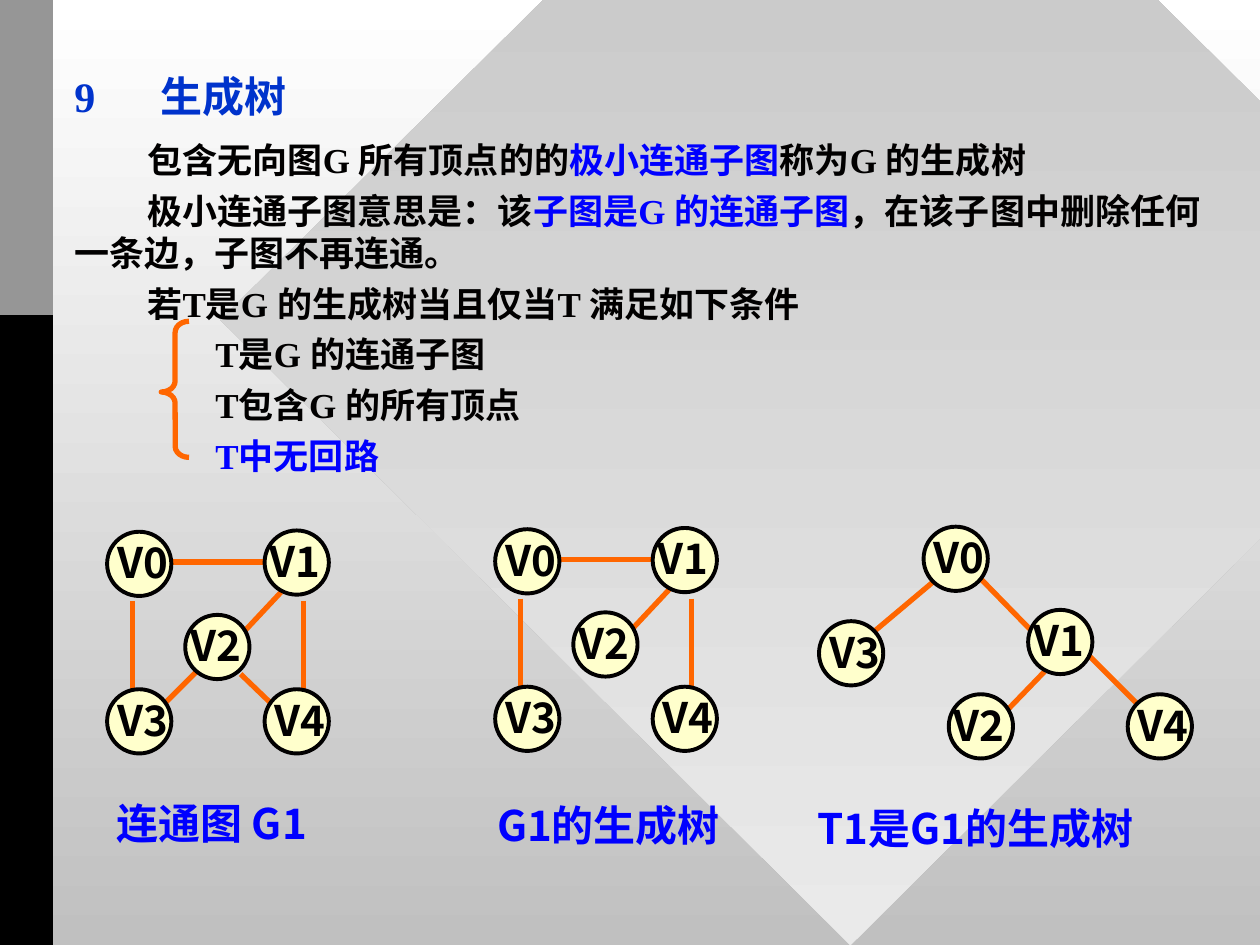
from lxml import etree
from pptx import Presentation
from pptx.dml.color import RGBColor
from pptx.enum.dml import MSO_FILL
from pptx.enum.shapes import MSO_CONNECTOR, MSO_SHAPE
from pptx.enum.text import MSO_ANCHOR, MSO_AUTO_SIZE, PP_ALIGN
from pptx.oxml.ns import qn
from pptx.util import Inches, Pt

STRAIGHT = MSO_CONNECTOR.STRAIGHT
DIAMOND, RECTANGLE = MSO_SHAPE.DIAMOND, MSO_SHAPE.RECTANGLE
OVAL, LEFT_BRACE = MSO_SHAPE.OVAL, MSO_SHAPE.LEFT_BRACE
LEFT, CENTER = PP_ALIGN.LEFT, PP_ALIGN.CENTER
TOP, FIXED = MSO_ANCHOR.TOP, MSO_AUTO_SIZE.NONE
GRADIENT = MSO_FILL.GRADIENT

WHITE = RGBColor(0xFF, 0xFF, 0xFF)
SILVER = RGBColor(0xC0, 0xC0, 0xC0)
PALE_GRAY = RGBColor(0xEA, 0xEA, 0xEA)
GRAY = RGBColor(0x96, 0x96, 0x96)
BLACK = RGBColor(0, 0, 0)
INK = RGBColor(1, 0, 0)
TITLE_BLUE = RGBColor(0, 0x33, 0xCC)
BLUE = RGBColor(0, 0, 0xFF)
ORANGE = RGBColor(0xFF, 0x66, 0)
CREAM = RGBColor(0xFF, 0xFF, 0xCC)

SERIF, SANS = "Times New Roman", "Noto Sans CJK SC"

DEFINITION = [
    (0.58, [("包含无向图G 所有顶点的的", INK), ("极小连通子图", BLUE),
            ("称为G 的生成树", INK)]),
    (0.58, [("极小连通子图意思是：该", INK), ("子图是G 的连通子图", BLUE),
            ("，在该子图中删除任何一条边，子图不再连通。", INK)]),
    (0.58, [("若T是G 的生成树当且仅当T 满足如下条件", INK)]),
    (1.12, [("T是G 的连通子图", INK)]),
    (1.12, [("T包含G 的所有顶点", INK)]),
    (1.12, [("T中无回路", BLUE)]),
]

SQUARE_NODES = {"V0": (0, 0.01), "V4": (1.25, 1.26), "V3": (0, 1.26),
                "V1": (1.25, 0), "V2": (0.62, 0.67)}
SPANNING_EDGES = [(0.2, 0.56, 0.2, 1.28), (0.5, 0.25, 1.32, 0.25),
                  (1.56, 0.56, 1.56, 1.28), (1.38, 0.49, 1.09, 0.8)]
CYCLE_EDGES = [(0.73, 1.1, 0.43, 1.4), (1.06, 1.14, 1.32, 1.39)]
TREE_NODES = {"V0": (0.83, 0), "V4": (2.45, 1.33), "V3": (0, 0.75),
              "V1": (1.66, 0.66), "V2": (1.03, 1.33)}
TREE_EDGES = [(0.94, 0.41, 0.44, 0.83), (2.11, 0.99, 2.53, 1.41),
              (1.79, 1.15, 1.5, 1.45), (1.28, 0.41, 1.69, 0.83)]

GRAPHS = [
    ((0.85, 4.21), SQUARE_NODES, SPANNING_EDGES + CYCLE_EDGES),
    ((3.93, 4.19), SQUARE_NODES, SPANNING_EDGES),
    ((6.5, 4.18), TREE_NODES, TREE_EDGES),
]
CAPTIONS = [
    ((0.45, 6.28, 2.46, 0.5), "连通图 G1"),
    ((3.6, 6.3, 2.46, 0.5), "G1的生成树"),
    ((6.28, 6.32, 2.92, 0.5), "T1是G1的生成树"),
]


def inches(box):
    return [Inches(length) for length in box]


def apply(target, values):
    for name, value in values.items():
        setattr(target, name, value)


def shade(fill, top_color, bottom_color):
    fill.gradient()
    fill.gradient_angle = 270
    for stop, color in zip(fill.gradient_stops, (top_color, bottom_color)):
        stop.color.rgb = color


def add_run(paragraph, text, size, color, latin):
    run = paragraph.add_run()
    run.text = text
    apply(run.font, {"size": Pt(size), "bold": True, "name": latin})
    run.font.color.rgb = color
    east_asian = etree.SubElement(run.font._element, qn("a:ea"))
    east_asian.set("typeface", SANS)


def place_placeholder(placeholder, box):
    apply(placeholder, dict(zip(("left", "top", "width", "height"), inches(box))))
    apply(placeholder.text_frame, {"word_wrap": True, "auto_size": FIXED,
                                   "vertical_anchor": TOP})


def add_backdrop(slide):
    shade(slide.background.fill, WHITE, SILVER)
    parts = [(DIAMOND, (1.75, -2.42, 10, 9.92), (SILVER, PALE_GRAY)),
             (RECTANGLE, (0, 0, 0.42, 7.5), (BLACK,)),
             (RECTANGLE, (0, 0, 0.42, 2.5), (GRAY,))]
    for depth, (kind, box, colors) in enumerate(parts):
        panel = slide.shapes.add_shape(kind, *inches(box))
        panel.shadow.inherit = False
        panel.line.fill.background()
        if len(colors) == 2:
            shade(panel.fill, *colors)
        else:
            panel.fill.solid()
            panel.fill.fore_color.rgb = colors[0]
        slide.shapes._spTree.insert(2 + depth, panel._element)


def fill_heading(heading, box):
    place_placeholder(heading, box)
    paragraph = heading.text_frame.paragraphs[0]
    paragraph.alignment = LEFT
    tabs = etree.SubElement(paragraph._p.get_or_add_pPr(), qn("a:tabLst"))
    etree.SubElement(tabs, qn("a:tab"), pos=str(Inches(0.68)), algn="l")
    add_run(paragraph, "9\t生成树", 24, TITLE_BLUE, SERIF)


def fill_definition(definition, box):
    place_placeholder(definition, box)
    frame = definition.text_frame
    for index, (indent, runs) in enumerate(DEFINITION):
        paragraph = frame.add_paragraph() if index else frame.paragraphs[0]
        properties = paragraph._p.get_or_add_pPr()
        properties.set("marL", "0")
        properties.set("indent", str(Inches(indent)))
        etree.SubElement(properties, qn("a:buNone"))
        apply(paragraph, {"alignment": LEFT, "line_spacing": Pt(24),
                          "space_before": Pt(5 if index else 0)})
        for text, color in runs:
            add_run(paragraph, text, 20, color, SERIF)


def add_brace(slide, box):
    brace = slide.shapes.add_shape(LEFT_BRACE, *inches(box))
    brace.shadow.inherit = False
    brace.fill.background()
    brace.line.color.rgb = ORANGE
    brace.line.width = Pt(3)
    brace.adjustments[0] = 0.4
    brace.adjustments[1] = 0.52


def add_text(shapes, box, text, color, alignment, margin_left=0.1):
    text_box = shapes.add_textbox(*inches(box))
    apply(text_box.text_frame, {"word_wrap": True,
                                "margin_left": Inches(margin_left)})
    paragraph = text_box.text_frame.paragraphs[0]
    paragraph.alignment = alignment
    add_run(paragraph, text, 24, color, SANS)


def add_graph(slide, origin, nodes, edges):
    left, top = origin
    graph = slide.shapes.add_group_shape().shapes
    for x1, y1, x2, y2 in edges:
        edge = graph.add_connector(
            STRAIGHT, *inches((left + x1, top + y1, left + x2, top + y2)))
        edge.line.color.rgb = ORANGE
        edge.line.width = Pt(3)
        etree.SubElement(edge._element.spPr, qn("a:effectLst"))
    for name, (x, y) in nodes.items():
        x, y = left + x, top + y
        node = graph.add_shape(OVAL, *inches((x, y, 0.51, 0.51)))
        node.shadow.inherit = False
        node.fill.solid()
        node.fill.fore_color.rgb = CREAM
        node.line.color.rgb = INK
        node.line.width = Pt(2.25)
        shift = 0.09 if name in ("V1", "V2") else 0.05
        add_text(graph, (x - shift, y - 0.01, 0.71, 0.5), name, INK, LEFT, 0.13)


def main():
    presentation = Presentation()
    apply(presentation, {"slide_width": Inches(10), "slide_height": Inches(7.5)})
    slide = presentation.slides.add_slide(presentation.slide_layouts[1])
    heading, definition = slide.placeholders
    add_backdrop(slide)
    fill_heading(heading, (0.49, 0.51, 9.39, 0.54))
    fill_definition(definition, (0.49, 1.05, 9.39, 2.75))
    add_brace(slide, (1.28, 2.55, 0.22, 1.08))
    for origin, nodes, edges in GRAPHS:
        add_graph(slide, origin, nodes, edges)
    for box, caption in CAPTIONS:
        add_text(slide.shapes, box, caption, BLUE, CENTER)
    presentation.save("out.pptx")


if __name__ == "__main__":
    main()
